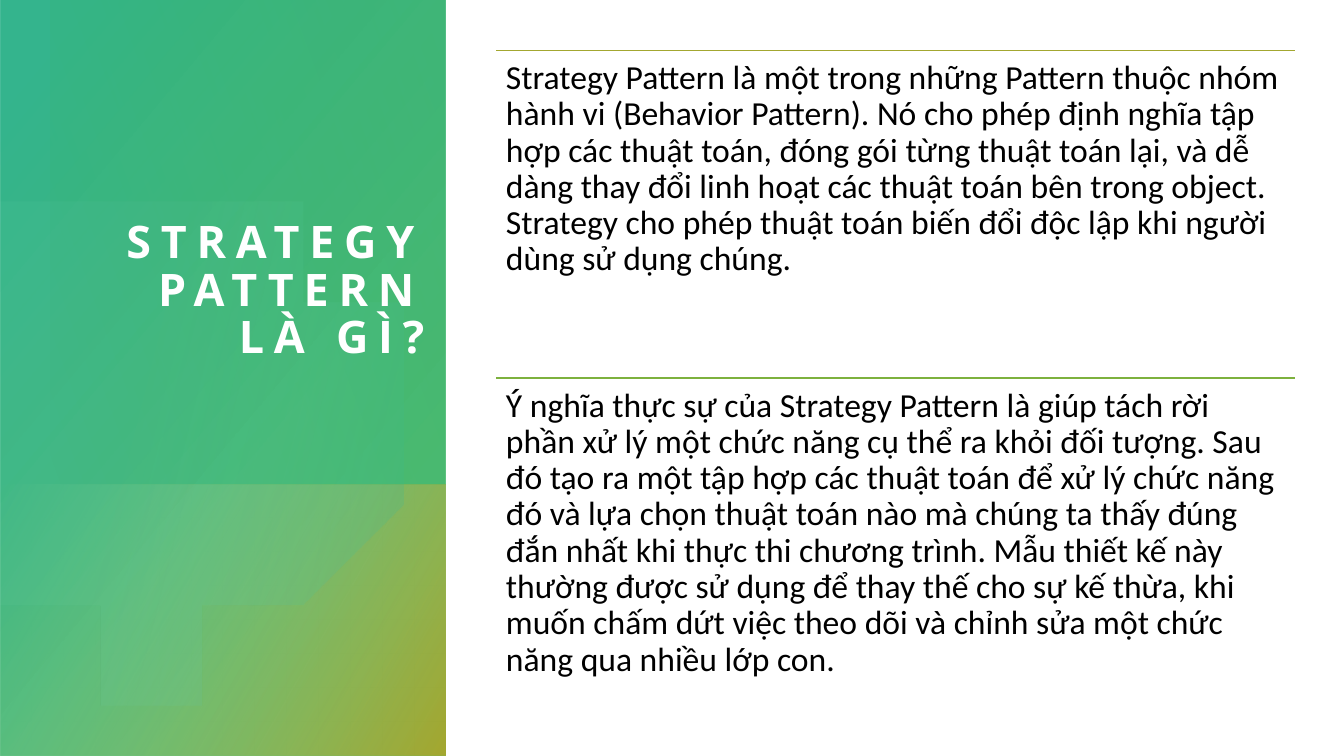
from lxml import etree
from pptx import Presentation
from pptx.dml.color import RGBColor
from pptx.enum.shapes import MSO_CONNECTOR, MSO_SHAPE
from pptx.enum.text import MSO_ANCHOR, PP_ALIGN
from pptx.oxml.ns import qn
from pptx.util import Inches, Pt

DEFINITIONS = [
    ("A3A730", "Strategy Pattern là một trong những Pattern thuộc nhóm hành vi "
     "(Behavior Pattern). Nó cho phép định nghĩa tập hợp các thuật toán, đóng gói "
     "từng thuật toán lại, và dễ dàng thay đổi linh hoạt các thuật toán bên trong "
     "object. Strategy cho phép thuật toán biến đổi độc lập khi người dùng sử dụng "
     "chúng."),
    ("7DB13E", "Ý nghĩa thực sự của Strategy Pattern là giúp tách rời phần xử lý một "
     "chức năng cụ thể ra khỏi đối tượng. Sau đó tạo ra một tập hợp các thuật toán để "
     "xử lý chức năng đó và lựa chọn thuật toán nào mà chúng ta thấy đúng đắn nhất khi "
     "thực thi chương trình. Mẫu thiết kế này thường được sử dụng để thay thế cho sự kế "
     "thừa, khi muốn chấm dứt việc theo dõi và chỉnh sửa một chức năng qua nhiều lớp con."),
]

# Outline of the clipped disc: a start point, then cubic curves (two handles, end point).
DISC_START = (1.64, 1.96)
DISC_RIGHT = [
    ((2.61, 1.98), (3.5, 2.63), (3.78, 3.62)),
    ((4.13, 4.83), (3.43, 6.1), (2.22, 6.44)),
    ((1.46, 6.66), (0.68, 6.47), (0.12, 6)),
]
DISC_EDGE = [(0, 5.89), (0, 2.61), (0.15, 2.47)]
DISC_TOP = [
    ((0.38, 2.29), (0.65, 2.14), (0.95, 2.05)),
    ((1.18, 1.99), (1.41, 1.96), DISC_START),
]


def rgb(value):
    return RGBColor.from_string(value)


def paint_gradient(shape, stops, angle):
    """Fill with (position %, colour, opacity %) stops and drop line and shadow."""
    shape.shadow.inherit = False
    shape.line.fill.background()
    shape.fill.gradient()
    gradient = shape.element.spPr.find(qn("a:gradFill"))
    gradient.set("rotWithShape", "1")
    for child in list(gradient):
        gradient.remove(child)
    stop_list = etree.SubElement(gradient, qn("a:gsLst"))
    for position, colour, opacity in stops:
        stop = etree.SubElement(stop_list, qn("a:gs"), pos=str(position * 1000))
        tone = etree.SubElement(stop, qn("a:srgbClr"), val=colour)
        etree.SubElement(tone, qn("a:alpha"), val=str(opacity * 1000))
    etree.SubElement(gradient, qn("a:lin"), ang=str(angle * 60000), scaled="0")


def add_turned_panel(slide, box, rotation, stops, angle):
    """Add a mirrored rectangle that covers box after a quarter turn."""
    left, top, width, height = box
    shift = (width - height) / 2
    panel = slide.shapes.add_shape(
        MSO_SHAPE.RECTANGLE, Inches(left + shift), Inches(top - shift),
        Inches(height), Inches(width))
    panel.rotation = rotation
    panel.element.spPr.xfrm.set("flipH", "1")
    paint_gradient(panel, stops, angle)


def curve_points(start, curves, steps=24):
    points = []
    for first, second, end in curves:
        for step in range(1, steps + 1):
            t = step / steps
            weights = ((1 - t) ** 3, 3 * t * (1 - t) ** 2, 3 * t * t * (1 - t), t ** 3)
            corners = (start, first, second, end)
            points.append(tuple(sum(w * c[axis] for w, c in zip(weights, corners))
                                for axis in (0, 1)))
        start = end
    return points


def add_disc(slide, left, top):
    outline = (curve_points(DISC_START, DISC_RIGHT) + DISC_EDGE
               + curve_points(DISC_EDGE[-1], DISC_TOP))
    builder = slide.shapes.build_freeform(*DISC_START, scale=Inches(1))
    builder.add_line_segments(outline, close=True)
    disc = builder.convert_to_shape(Inches(left), Inches(top))
    paint_gradient(disc, [(36, "7EDABE", 6), (100, "34B48D", 26)], 14)


def add_text_frame(slide, left, top, width, height, inset):
    box = slide.shapes.add_textbox(
        Inches(left), Inches(top), Inches(width), Inches(height))
    frame = box.text_frame
    frame.word_wrap = True
    frame.margin_left = frame.margin_right = Inches(inset)
    frame.margin_top = frame.margin_bottom = Inches(inset)
    return frame


def add_run(paragraph, text, font, size, colour):
    run = paragraph.add_run()
    run.text = text
    run.font.name = font
    run.font.size = Pt(size)
    run.font.color.rgb = rgb(colour)
    return run


def add_heading(slide, left, top, width, height):
    frame = add_text_frame(slide, left, top, width, height, 0)
    frame.vertical_anchor = MSO_ANCHOR.BOTTOM
    heading = frame.paragraphs[0]
    heading.alignment = PP_ALIGN.RIGHT
    heading.line_spacing = 0.88
    for index, line in enumerate(["STRATEGY PATTERN", "LÀ GÌ?"]):
        if index:
            heading.add_line_break()
        run = add_run(heading, line, "Open Sans", 32, "FFFFFF")
        run.font.bold = True
        run.font._element.set("spc", "700")


def add_title_panel(slide, left, top, width, height):
    accent = 2.69
    tint_inset = 0.5
    add_turned_panel(slide, (left, top, width, height), 270,
                     [(8, "34B48D", 100), (100, "40B561", 89)], 50)
    add_turned_panel(slide, (left, top + height - accent, width, accent), 270,
                     [(0, "8AD59F", 0), (99, "A3A730", 100)], 60)
    add_disc(slide, left, top)
    add_turned_panel(slide, (left + tint_inset, top, width - tint_inset, height - accent),
                     90, [(0, "40B561", 29), (100, "47B735", 0)], 110)
    add_heading(slide, left + 0.5, top + 0.95, width - 0.71, 2.65)


def add_definitions(slide, left, top, width, height):
    row = height / len(DEFINITIONS)
    for index, (rule_colour, definition) in enumerate(DEFINITIONS):
        row_top = top + index * row
        rule = slide.shapes.add_connector(
            MSO_CONNECTOR.STRAIGHT, Inches(left), Inches(row_top),
            Inches(left + width), Inches(row_top))
        rule.line.color.rgb = rgb(rule_colour)
        rule.line.width = Pt(1)
        etree.SubElement(rule.element.spPr, qn("a:effectLst"))
        frame = add_text_frame(slide, left, row_top, width, row, 0.1)
        frame.paragraphs[0].line_spacing = 0.9
        add_run(frame.paragraphs[0], definition, "Calibri", 24, "000000")


def main():
    deck = Presentation()
    deck.slide_width, deck.slide_height = Inches(13.33), Inches(7.5)
    slide = deck.slides.add_slide(deck.slide_layouts[6])
    add_title_panel(slide, 0, 0, 4.42, 7.5)
    add_definitions(slide, 4.92, 0.5, 7.92, 6.5)
    deck.save("out.pptx")


if __name__ == "__main__":
    main()
